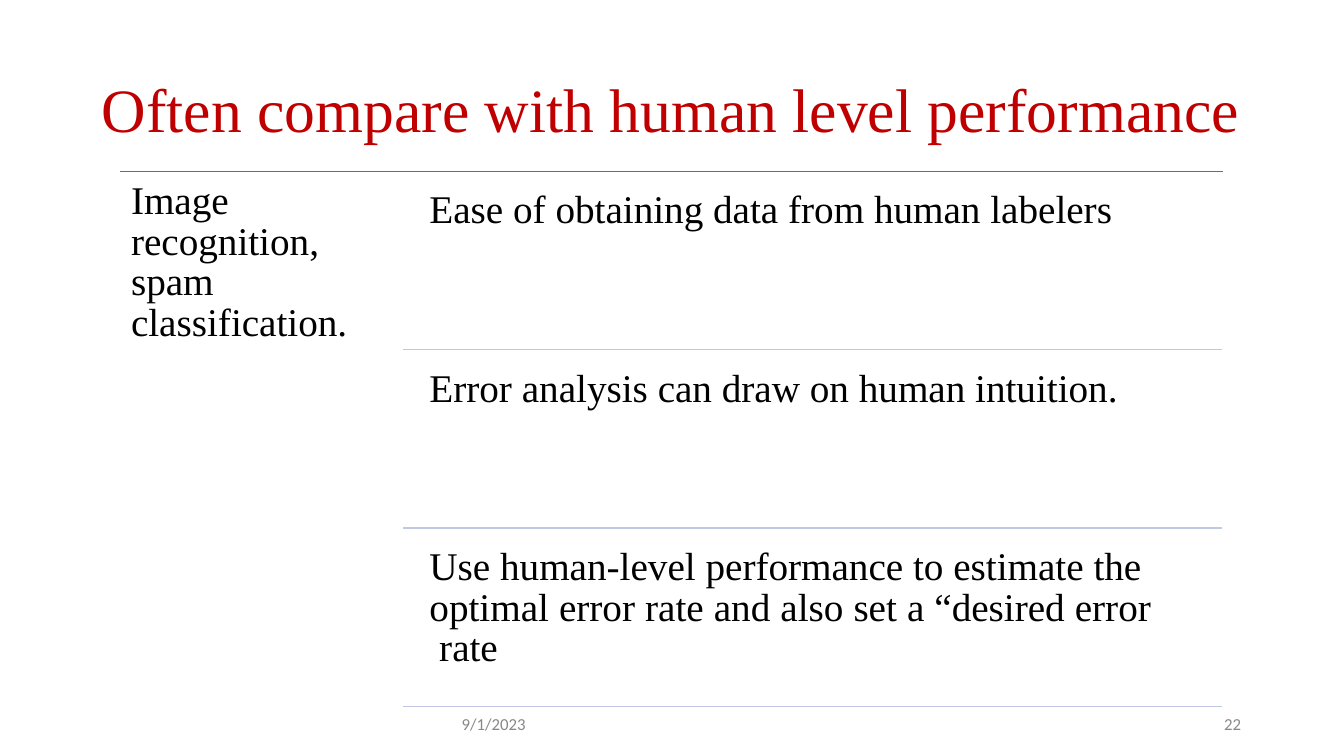
from pptx import Presentation
from pptx.dml.color import RGBColor
from pptx.enum.shapes import MSO_CONNECTOR
from pptx.enum.text import PP_ALIGN
from pptx.oxml.ns import qn
from pptx.util import Inches, Pt
from lxml import etree

STRAIGHT = MSO_CONNECTOR.STRAIGHT
LEFT, JUSTIFY = PP_ALIGN.LEFT, PP_ALIGN.JUSTIFY
RED = RGBColor(0xC0, 0x00, 0x00)
BLACK = RGBColor(0x00, 0x00, 0x00)
GREY = RGBColor(0x88, 0x88, 0x88)
BLUE = RGBColor(0x44, 0x71, 0xC4)
PALE_BLUE = RGBColor(0xC0, 0xC8, 0xE3)
SERIF, SANS = "Times New Roman", "Calibri"

TITLE = "Often compare with human level performance"
EXAMPLES = "Image  recognition,  spam  classification."
REASONS = [
    ("Ease of obtaining data from human labelers", 0.01, 1.0, LEFT),
    ("Error analysis can draw on human intuition.", 0.01, 1.0, LEFT),
    ("Use human-level performance to estimate the  optimal error rate "
     "and also set a “desired error  rate", 0.08, 0.86, JUSTIFY),
]


def add_text(slide, box, text, size, color, font=SERIF, top_inset=0.01,
             spacing=1.0, align=LEFT, indent=0.01):
    """Place one wrapped paragraph in a box of left, top, width, height."""
    frame = slide.shapes.add_textbox(*map(Inches, box)).text_frame
    frame_format = {"word_wrap": True, "margin_left": Inches(indent),
                    "margin_right": 0, "margin_top": Inches(top_inset),
                    "margin_bottom": 0}
    for name, value in frame_format.items():
        setattr(frame, name, value)
    paragraph = frame.paragraphs[0]
    paragraph.alignment = align
    paragraph.line_spacing = spacing
    run = paragraph.add_run()
    run.text = text
    for name, value in {"size": Pt(size), "name": font}.items():
        setattr(run.font, name, value)
    run.font.color.rgb = color


def add_rule(slide, left, top, width, color, weight):
    """Draw a horizontal rule without a shadow."""
    rule = slide.shapes.add_connector(
        STRAIGHT, Inches(left), Inches(top), Inches(left + width), Inches(top))
    rule.line.color.rgb = color
    rule.line.width = Pt(weight)
    etree.SubElement(rule._element.spPr, qn("a:effectLst"))


def add_examples(slide, left, top, width, height):
    """Place the example applications under the top rule."""
    add_rule(slide, left, top, 10.94, BLUE, 0.75)
    add_text(slide, (left + 0.1, top + 0.03, width, height), EXAMPLES, 28,
             BLACK, top_inset=0.08, spacing=0.86)


def add_reasons(slide, left, top, width, height):
    """Stack the reasons in equal rows, each closed by a rule."""
    row_height = height / len(REASONS)
    for row, (reason, inset, spacing, align) in enumerate(REASONS):
        row_top = top + row * row_height
        add_text(slide, (left + 0.25, row_top + 0.12, 7.17, row_height - 0.47),
                 reason, 28, BLACK, top_inset=inset, spacing=spacing,
                 align=align)
        add_rule(slide, left, row_top + row_height, width, PALE_BLUE, 0.96)


def add_footer(slide, left, top, width, height):
    """Place the date at the left and the slide number at the right."""
    number_width = 0.25
    add_text(slide, (left, top, 4.2, height), "9/1/2023", 12, GREY, SANS,
             top_inset=0, spacing=1.03)
    add_text(slide, (left + width - number_width, top, number_width, height),
             "22", 12, GREY, SANS, top_inset=0, spacing=1.03, indent=0.04)


def main():
    """Build and save the slide."""
    deck = Presentation()
    deck.slide_width, deck.slide_height = Inches(13.33), Inches(7.5)
    slide = deck.slides.add_slide(deck.slide_layouts[6])
    add_text(slide, (1, 0.69, 11.4, 0.76), TITLE, 44, RED)
    add_examples(slide, 1.19, 1.7, 2.17, 1.7)
    add_reasons(slide, 4, 1.7, 8.12, 5.31)
    add_footer(slide, 4.57, 7.07, 7.78, 0.19)
    deck.save("out.pptx")


if __name__ == "__main__":
    main()
